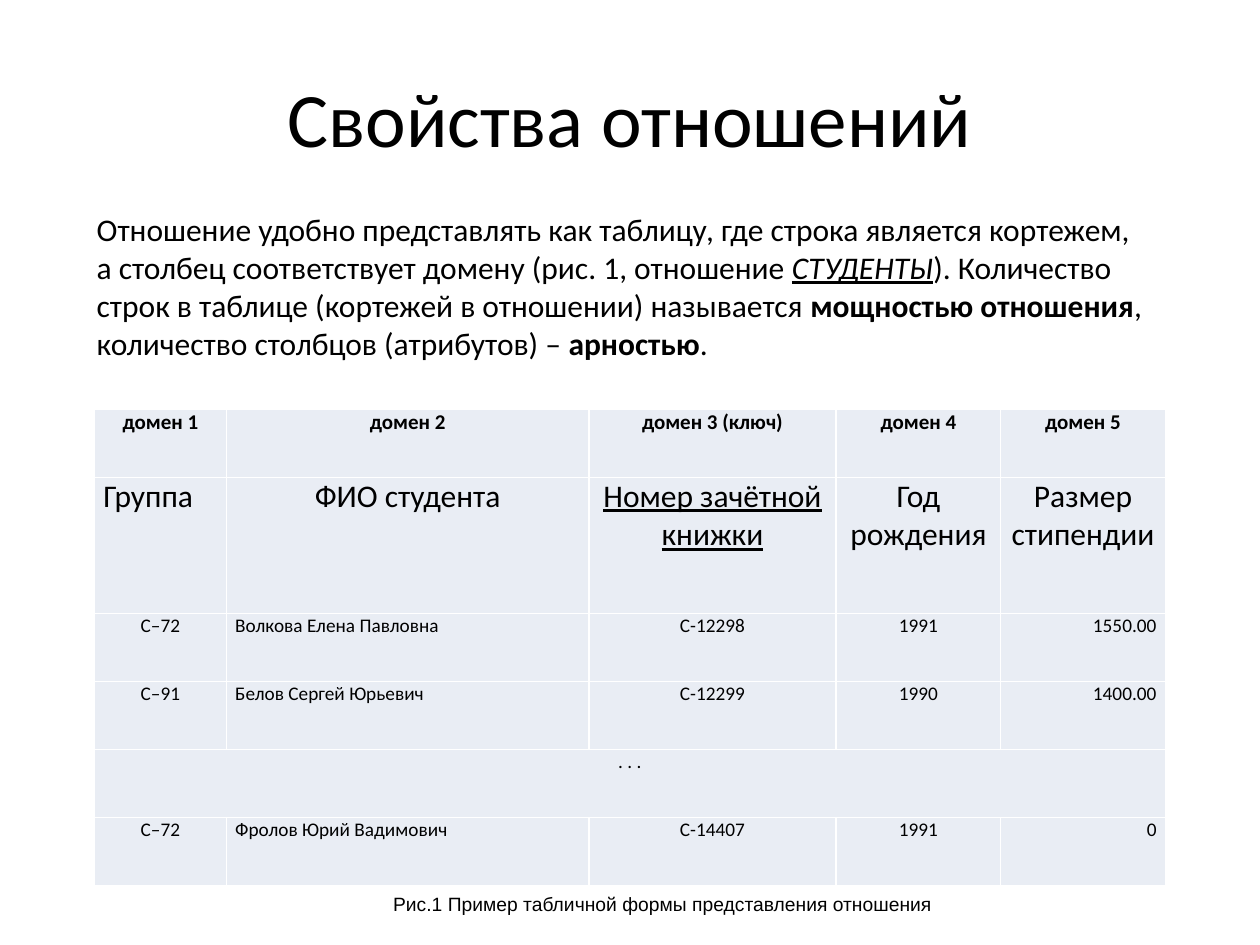
from dataclasses import dataclass
from typing import Optional

from lxml.etree import SubElement
from pptx import Presentation
from pptx.dml.color import RGBColor
from pptx.enum.text import MSO_ANCHOR, MSO_AUTO_SIZE, PP_ALIGN
from pptx.oxml.ns import qn
from pptx.util import Pt

COLORS = {"text": "000000", "cell": "E9EDF4", "border": "FFFFFF"}
LEFT, CENTER, RIGHT, JUSTIFY = (
    PP_ALIGN.LEFT, PP_ALIGN.CENTER, PP_ALIGN.RIGHT, PP_ALIGN.JUSTIFY)


@dataclass
class Box:
    left: float
    top: float
    width: float
    height: float

    def lengths(self) -> tuple:
        return Pt(self.left), Pt(self.top), Pt(self.width), Pt(self.height)


@dataclass
class RowStyle:
    aligns: tuple
    size: float
    bold: bool = False
    space_before: float = 0
    underlined_column: Optional[int] = None


@dataclass
class Row:
    texts: tuple
    style: RowStyle
    height: float = 38.88


def write(paragraph, text: str, *, size: float, font: str = "Calibri",
          bold: bool = False, italic: bool = False, underline: bool = False,
          align=None, space_before: float = 0) -> None:
    """Append formatted text to a paragraph; a newline becomes a line break."""
    if align is not None:
        paragraph.alignment = align
    if space_before:
        paragraph.space_before = Pt(space_before)
    for index, line in enumerate(text.split("\n")):
        if index:
            paragraph.add_line_break()
        run = paragraph.add_run()
        run.text = line
        run.font.name = font
        run.font.size = Pt(size)
        run.font.bold = bold
        run.font.italic = italic
        run.font.underline = underline
        run.font.color.rgb = RGBColor.from_string(COLORS["text"])


def add_text_box(slide, box: Box, *, wrap: bool, anchor=MSO_ANCHOR.TOP):
    """Add a text box and return its first paragraph."""
    frame = slide.shapes.add_textbox(*box.lengths()).text_frame
    frame.word_wrap = wrap
    frame.auto_size = MSO_AUTO_SIZE.SHAPE_TO_FIT_TEXT
    frame.vertical_anchor = anchor
    return frame.paragraphs[0]


def format_cell(cell) -> None:
    """Set the margins, borders and fill of a table cell."""
    cell.margin_left = cell.margin_right = Pt(5.04)
    cell.margin_top = cell.margin_bottom = 0
    properties = cell._tc.get_or_add_tcPr()
    for side in ("lnL", "lnR", "lnT", "lnB"):
        line = SubElement(properties, qn(f"a:{side}"), w=str(Pt(1)))
        fill = SubElement(line, qn("a:solidFill"))
        SubElement(fill, qn("a:srgbClr"), val=COLORS["border"])
    cell.fill.solid()
    cell.fill.fore_color.rgb = RGBColor.from_string(COLORS["cell"])


def add_relation(slide, box: Box, widths: tuple, rows: list) -> None:
    """Draw the relation; a row with a single text spans all columns."""
    table = slide.shapes.add_table(
        len(rows), len(widths), *box.lengths()).table
    table.first_row = table.horz_banding = False
    for column, width in zip(table.columns, widths):
        column.width = Pt(width)
    for row_index, row in enumerate(rows):
        table.rows[row_index].height = Pt(row.height)
        cells = [table.cell(row_index, i) for i in range(len(widths))]
        for cell in cells:
            format_cell(cell)
        if len(row.texts) == 1:
            cells[0].merge(cells[-1])
        style = row.style
        for i, (cell, text) in enumerate(zip(cells, row.texts)):
            write(cell.text_frame.paragraphs[0], text, size=style.size,
                  bold=style.bold, underline=i == style.underlined_column,
                  align=style.aligns[i], space_before=style.space_before)


DOMAINS = RowStyle((CENTER,) * 5, 12, bold=True)
ATTRIBUTES = RowStyle((LEFT,) + (CENTER,) * 4, 18, underlined_column=2)
TUPLE = RowStyle((CENTER, JUSTIFY, CENTER, CENTER, RIGHT), 11, space_before=2)
ELLIPSIS = RowStyle((CENTER,), 11)

RELATION = [
    Row(("домен 1", "домен 2", "домен 3 (ключ)", "домен 4", "домен 5"),
        DOMAINS),
    Row(("Группа", "ФИО студента", "Номер зачётной книжки", "Год\nрождения",
         "Размер стипендии"), ATTRIBUTES, height=77.76),
    Row(("С–72", "Волкова Елена Павловна", "С-12298", "1991", "1550.00"),
        TUPLE),
    Row(("С–91", "Белов Сергей Юрьевич", "С-12299", "1990", "1400.00"),
        TUPLE),
    Row((". . .",), ELLIPSIS),
    Row(("С–72", "Фролов Юрий Вадимович", "С-14407", "1991", "0"), TUPLE),
]

DEFINITION = [
    ("Отношение удобно представлять как таблицу, где строка является "
     "кортежем, а столбец соответствует домену (рис. 1, отношение ", {}),
    ("СТУДЕНТЫ", {"italic": True, "underline": True}),
    ("). Количество строк в таблице (кортежей в отношении) называется ", {}),
    ("мощностью отношения", {"bold": True}),
    (", количество столбцов (атрибутов) – ", {}),
    ("арностью", {"bold": True}),
    (".", {}),
]


def main() -> None:
    presentation = Presentation()
    presentation.slide_width, presentation.slide_height = Pt(720), Pt(540)
    slide = presentation.slides.add_slide(presentation.slide_layouts[5])

    # Title
    title = slide.shapes.title
    title.left, title.top, title.width, title.height = Box(
        36, 21.6, 648, 90).lengths()
    title.text_frame.vertical_anchor = MSO_ANCHOR.MIDDLE
    write(title.text_frame.paragraphs[0], "Свойства отношений", size=44,
          align=CENTER)

    # Relation table
    add_relation(slide, Box(54, 234, 612, 272.16),
                 (75.4, 207.2, 141.2, 94.1, 94.1), RELATION)

    # Table caption
    caption = add_text_box(slide, Box(217.4, 506.2, 322.6, 20.9), wrap=False,
                           anchor=MSO_ANCHOR.MIDDLE)
    write(caption, "Рис.1 Пример табличной формы представления отношения",
          size=11, font="Arial", align=CENTER)

    # Definition of cardinality and arity
    definition = add_text_box(slide, Box(48.2, 116.6, 612, 94.3), wrap=True)
    for text, emphasis in DEFINITION:
        write(definition, text, size=18, **emphasis)

    presentation.save("out.pptx")


if __name__ == "__main__":
    main()
